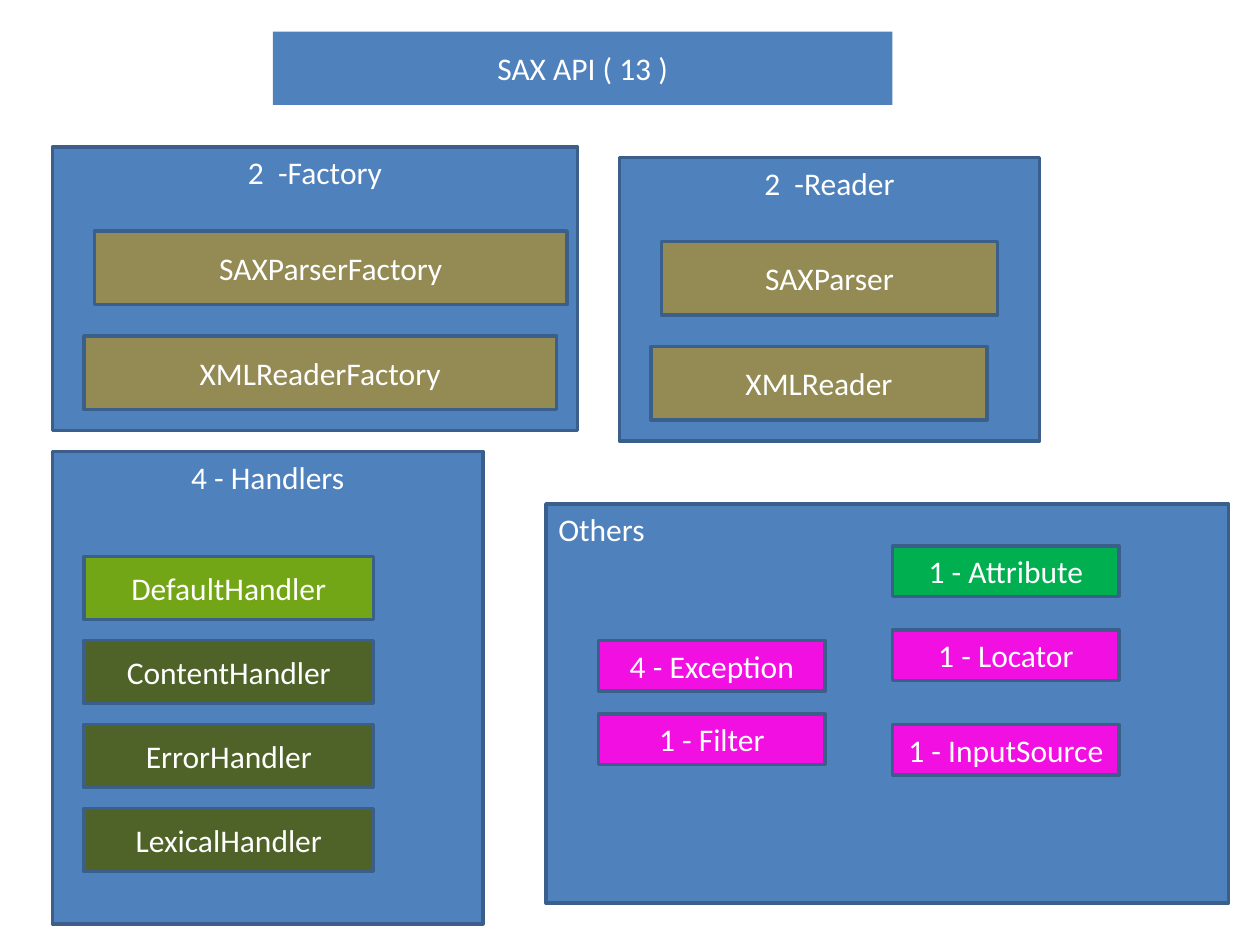
from pptx import Presentation
from pptx.dml.color import RGBColor
from pptx.enum.shapes import MSO_SHAPE
from pptx.enum.text import MSO_ANCHOR, MSO_AUTO_SIZE, PP_ALIGN
from pptx.util import Pt

PX = 7620
BLUE, EDGE, WHITE = "4F81BD", "3A5F8B", "FFFFFF"
TAN, LIME, OLIVE = "948A54", "73A616", "4F6228"
PINK, GREEN = "F10FE1", "00B050"


def rgb(value):
    return RGBColor.from_string(value)


class Deck:
    """Holds the style and the current slide."""

    font = {"name": "Calibri", "size": Pt(18), "bold": False}

    def __init__(self, width, height):
        self.prs = Presentation()
        self.prs.slide_width, self.prs.slide_height = width * PX, height * PX
        self.s = self.prs.slides.add_slide(self.prs.slide_layouts[5])

    def label(self, sp, text, anchor, align):
        tf = sp.text_frame
        frame = {"word_wrap": True, "auto_size": MSO_AUTO_SIZE.NONE, "vertical_anchor": anchor}
        for key, value in frame.items():
            setattr(tf, key, value)
        p = tf.paragraphs[0]
        p.alignment = align
        r = p.add_run()
        r.text = text
        for key, value in self.font.items():
            setattr(r.font, key, value)
        r.font.color.rgb = rgb(WHITE)

    def paint(self, sp, fill):
        sp.fill.solid()
        sp.fill.fore_color.rgb = rgb(fill)

    def title(self, text, x, y, w, h):
        sp = self.s.shapes.title
        place = {"left": x, "top": y, "width": w, "height": h}
        for key, value in place.items():
            setattr(sp, key, value * PX)
        self.paint(sp, BLUE)
        self.label(sp, text, MSO_ANCHOR.MIDDLE, PP_ALIGN.CENTER)

    def box(self, text, x, y, w, h, fill, anchor=MSO_ANCHOR.MIDDLE, align=PP_ALIGN.CENTER):
        sp = self.s.shapes.add_shape(MSO_SHAPE.RECTANGLE, x * PX, y * PX, w * PX, h * PX)
        sp.shadow.inherit = False
        self.paint(sp, fill)
        sp.line.color.rgb = rgb(EDGE)
        sp.line.width = Pt(2)
        self.label(sp, text, anchor, align)

    def panel(self, text, x, y, w, h, align=PP_ALIGN.CENTER):
        self.box(text, x, y, w, h, BLUE, MSO_ANCHOR.TOP, align)


def main():
    deck = Deck(1200, 900)
    deck.title("SAX API ( 13 )", 260, 30, 590, 70)

    groups = [
        ("2  -Factory", 50, 140, 500, 450, "SAXParserFactory", "XMLReaderFactory"),
        ("2  -Reader", 590, 150, 400, 320, "SAXParser", "XMLReader"),
    ]
    for heading, x, y, w, item_w, upper, lower in groups:
        deck.panel(heading, x, y, w, 270)
        deck.box(upper, x + 40, y + 80, item_w, 70, TAN)
        deck.box(lower, x + 30, y + 180, item_w, 70, TAN)

    deck.panel("4 - Handlers", 50, 430, 410, 450)
    handlers = ["DefaultHandler", "ContentHandler", "ErrorHandler", "LexicalHandler"]
    for i, name in enumerate(handlers):
        deck.box(name, 80, 530 + 80 * i, 276, 60, OLIVE if i else LIME)

    deck.panel("Others", 520, 480, 650, 380, PP_ALIGN.LEFT)
    others = [
        ("4 - Exception", 570, 610, PINK),
        ("1 - Filter", 570, 680, PINK),
        ("1 - Attribute", 850, 520, GREEN),
        ("1 - Locator", 850, 600, PINK),
        ("1 - InputSource", 850, 690, PINK),
    ]
    for name, x, y, fill in others:
        deck.box(name, x, y, 216, 48, fill)

    deck.prs.save("out.pptx")


if __name__ == "__main__":
    main()
